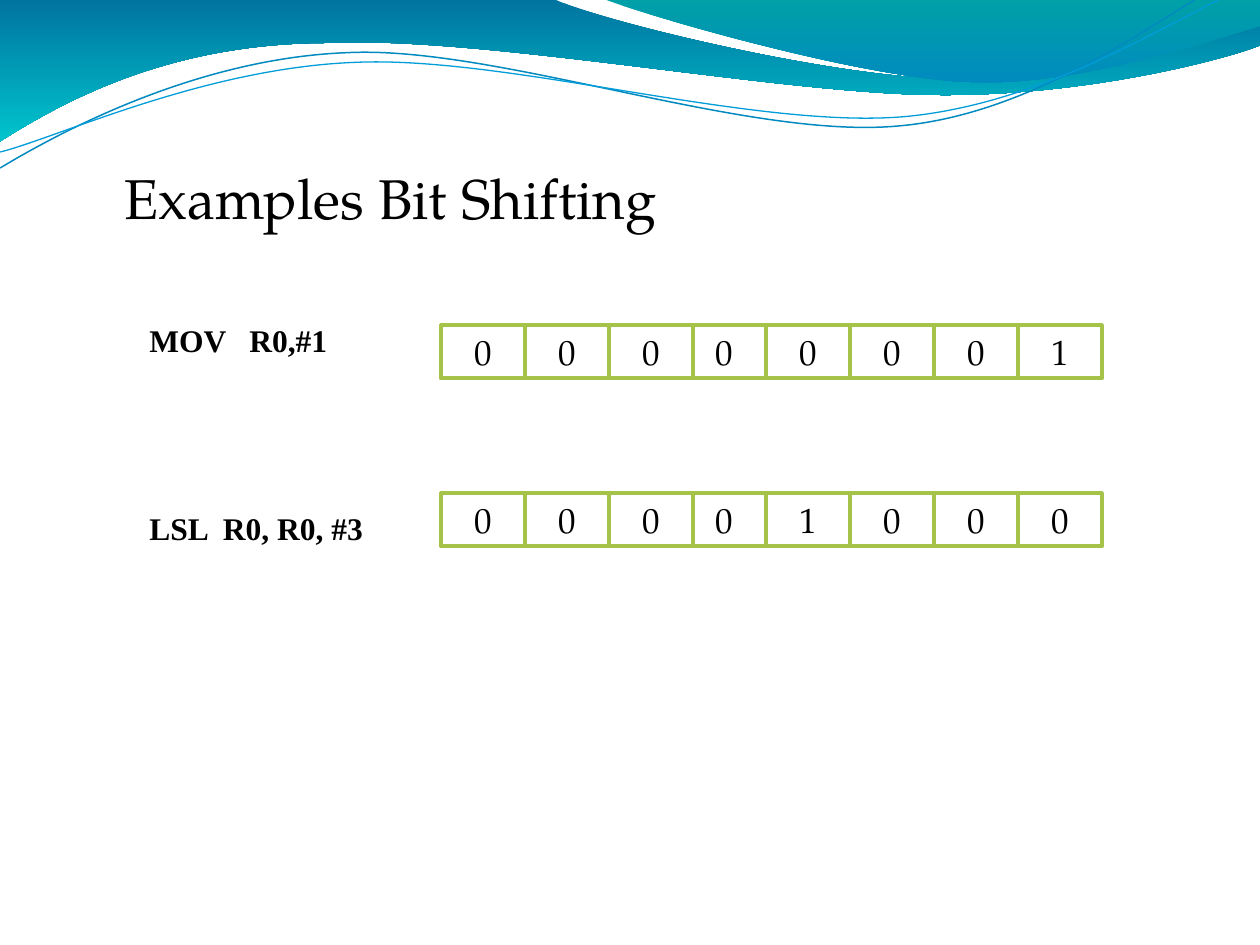
from lxml import etree
from pptx import Presentation
from pptx.dml.color import RGBColor
from pptx.enum.shapes import MSO_SHAPE
from pptx.enum.text import MSO_ANCHOR, PP_ALIGN
from pptx.oxml.ns import qn
from pptx.util import Emu, Pt

RECTANGLE = MSO_SHAPE.RECTANGLE
MIDDLE, CENTER = MSO_ANCHOR.MIDDLE, PP_ALIGN.CENTER
EMU_PER_PX = 914400 / 126

COLORS = {
    "text": "000000", "cell": "FFFFFF", "border": "A5C249",
    "deep blue": "0074A0", "cyan": "00C4CD", "teal": "00A0A8",
    "blue": "008ABF", "light blue": "009DD9",
}
FORMATS = {
    "title": {"name": "TeX Gyre Pagella", "size": Pt(32)},
    "bit": {"name": "TeX Gyre Pagella", "size": Pt(20)},
    "instruction": {"name": "Times New Roman", "size": Pt(18), "bold": True},
}

TITLE = "Examples Bit Shifting"
TITLE_BOX = (112, 157, 596, 79)
INSTRUCTIONS = ["MOV\tR0,#1", "LSL  R0, R0, #3"]
INSTRUCTION_BOX = (137, 315, 241, 239)
INSTRUCTION_GAP = Pt(86)
OPERAND_TAB = 100

REGISTERS = ["00000001", "00001000"]
REGISTER_LEFT, REGISTER_TOP, REGISTER_PITCH = 441, 325, 168
CELL_WIDTH, CELL_HEIGHT = 84, 53
NIBBLE, NIBBLE_OVERLAP = 4, 11

# An outline is a start point, then segments: one point is a straight
# line, three points are a Bézier curve.
WAVES = [
    (("deep blue", "cyan"), (0, -1), [
        [(554, -1)],
        [(600, 21), (837, 79), (955, 79)],
        [(1075, 79), (1207, 33), (1260, 11)],
        [(1261, 45)],
        [(1239, 55), (1096, 96), (940, 95)],
        [(784, 95), (481, 35), (324, 43)],
        [(163, 44), (58, 105), (-1, 142)],
    ]),
    (("teal", "blue"), (604, -1), [
        [(641, 14), (859, 78), (969, 82)],
        [(1079, 87), (1211, 40), (1260, 26)],
        [(1260, 0)],
    ]),
]
RIPPLE_ROTATION = 357
RIPPLES = [
    ("blue", 0.85, (-4, 135), [
        [(58, 102), (198, 36), (348, 38)],
        [(498, 38), (744, 147), (897, 140)],
        [(1049, 134), (1185, 28), (1261, -2)],
    ]),
    ("light blue", 0.75, (-3, 119), [
        [(57, 107), (205, 46), (356, 48)],
        [(508, 49), (750, 136), (902, 131)],
        [(1054, 125), (1189, 39), (1263, 14)],
    ]),
]


def px(length):
    return Emu(round(length * EMU_PER_PX))


def rgb(color):
    return RGBColor.from_string(COLORS[color])


def add_outline(slide, start, segments, closed):
    """Build a freeform, then merge the points of each curve into one Bézier."""
    builder = slide.shapes.build_freeform(*map(px, start))
    points = [(px(x), px(y)) for segment in segments for x, y in segment]
    builder.add_line_segments(points, close=closed)
    outline = builder.convert_to_shape()
    outline.shadow.inherit = False
    lines = iter(list(outline._element.iter(qn("a:lnTo"))))
    for segment in segments:
        first, *others = [next(lines) for _ in segment]
        if others:
            curve = etree.Element(qn("a:cubicBezTo"))
            first.addprevious(curve)
            for line in (first, *others):
                curve.append(line[0])
                line.getparent().remove(line)
    return outline


def add_wave(slide, gradient, start, segments):
    wave = add_outline(slide, start, segments, True)
    wave.line.fill.background()
    wave.fill.gradient()
    wave.fill.gradient_angle = 270
    for stop, color in zip(wave.fill.gradient_stops, gradient):
        stop.color.rgb = rgb(color)


def add_ripple(slide, color, width, start, segments):
    ripple = add_outline(slide, start, segments, False)
    ripple.rotation = RIPPLE_ROTATION
    ripple.fill.background()
    ripple.line.color.rgb = rgb(color)
    ripple.line.width = Pt(width)


def write(paragraph, text, style):
    run = paragraph.add_run()
    run.text = text
    run.font.color.rgb = rgb("text")
    for attribute, value in FORMATS[style].items():
        setattr(run.font, attribute, value)


def add_text(slide, box, lines, style):
    frame = slide.shapes.add_textbox(*map(px, box)).text_frame
    frame.word_wrap = True
    for index, line in enumerate(lines):
        paragraph = frame.add_paragraph() if index else frame.paragraphs[0]
        if index:
            paragraph.space_before = INSTRUCTION_GAP
        if "\t" in line:
            tabs = etree.SubElement(paragraph._p.get_or_add_pPr(), qn("a:tabLst"))
            etree.SubElement(tabs, qn("a:tab"), pos=str(px(OPERAND_TAB)), algn="l")
        write(paragraph, line, style)


def add_cell(slide, left, top, width):
    cell = slide.shapes.add_shape(RECTANGLE, *map(px, (left, top, width, CELL_HEIGHT)))
    cell.shadow.inherit = False
    cell.fill.solid()
    cell.fill.fore_color.rgb = rgb("cell")
    cell.line.color.rgb = rgb("border")
    cell.line.width = Pt(2)
    return cell


def add_register(slide, top, bits):
    """Draw the bits right to left, so the upper nibble overlaps the lower."""
    add_cell(slide, REGISTER_LEFT, top, len(bits) * CELL_WIDTH - NIBBLE_OVERLAP)
    for index in reversed(range(len(bits))):
        overlap = NIBBLE_OVERLAP if index >= NIBBLE - 1 else 0
        left = REGISTER_LEFT + index * CELL_WIDTH - overlap
        frame = add_cell(slide, left, top, CELL_WIDTH).text_frame
        frame.vertical_anchor = MIDDLE
        frame.paragraphs[0].alignment = CENTER
        write(frame.paragraphs[0], bits[index], "bit")


def main():
    presentation = Presentation()
    presentation.slide_width, presentation.slide_height = px(1260), px(945)
    slide = presentation.slides.add_slide(presentation.slide_layouts[6])
    for wave in WAVES:
        add_wave(slide, *wave)
    for ripple in RIPPLES:
        add_ripple(slide, *ripple)
    add_text(slide, INSTRUCTION_BOX, INSTRUCTIONS, "instruction")
    add_text(slide, TITLE_BOX, [TITLE], "title")
    for row, bits in enumerate(REGISTERS):
        add_register(slide, REGISTER_TOP + row * REGISTER_PITCH, bits)
    presentation.save("out.pptx")


if __name__ == "__main__":
    main()
